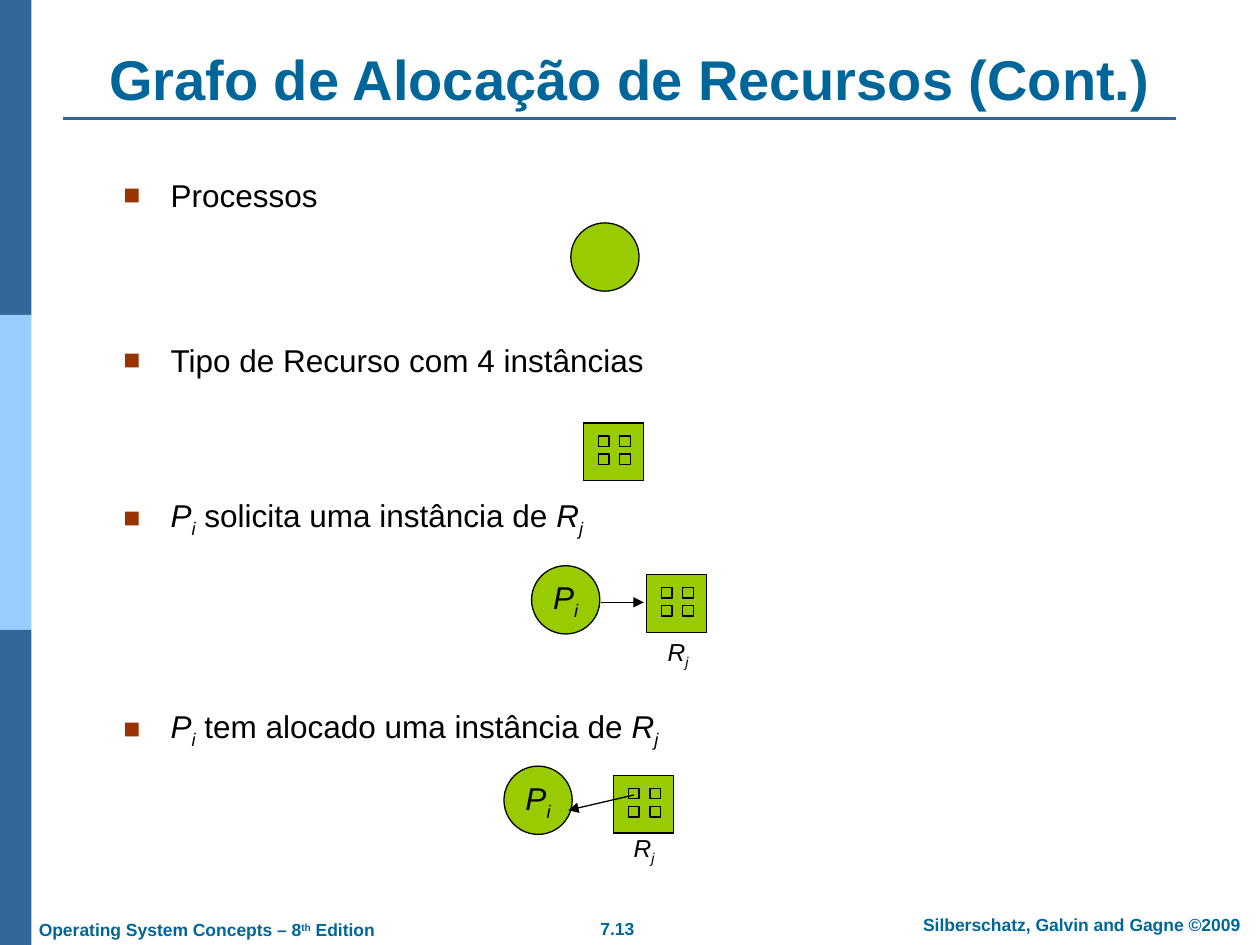
from dataclasses import dataclass

from lxml.etree import SubElement
from pptx import Presentation
from pptx.dml.color import RGBColor
from pptx.enum.shapes import MSO_CONNECTOR, MSO_SHAPE
from pptx.enum.text import MSO_ANCHOR, PP_ALIGN
from pptx.oxml.ns import qn
from pptx.util import Pt

STEEL = RGBColor(0x33, 0x66, 0x99)
SKY = RGBColor(0x99, 0xCC, 0xFF)
TEAL = RGBColor(0x00, 0x66, 0x99)
LIME = RGBColor(0x99, 0xCC, 0x00)
BLACK = RGBColor(0, 0, 0)
BULLET_COLOR = "993300"
FONT = "Arial"

CIRCLE_SIZE = 39
RESOURCE_WIDTH, RESOURCE_HEIGHT = 34.5, 33
INSTANCE_SIZE = 6
INSTANCE_LEFT, INSTANCE_TOP = 8.6, 7.4
INSTANCE_STEP_X, INSTANCE_STEP_Y = 12.2, 10.4


@dataclass(frozen=True)
class Style:
    size: float
    color: RGBColor = BLACK
    bold: bool = False


@dataclass(frozen=True)
class Piece:
    text: str
    italic: bool = False
    baseline: int = 0


@dataclass(frozen=True)
class Bullet:
    pieces: tuple
    space_before: float


@dataclass(frozen=True)
class TextBox:
    left: float
    top: float
    width: float
    height: float
    pieces: tuple
    style: Style
    align: PP_ALIGN = PP_ALIGN.CENTER
    anchor: MSO_ANCHOR = MSO_ANCHOR.TOP


BODY = Style(18)
LABEL = Style(14)
FOOTER = Style(10, TEAL, True)
PROCESS = (Piece("P", True), Piece("i", True, -25000))
RESOURCE = (Piece("R", True), Piece("j", True, -25000))

BULLETS = (
    Bullet((Piece("Processos"),), 0),
    Bullet((Piece("Tipo de Recurso com 4 instâncias"),), 72.5),
    Bullet(PROCESS + (Piece(" solicita uma instância de "),) + RESOURCE, 67.2),
    Bullet(PROCESS + (Piece(" tem alocado uma instância de "),) + RESOURCE, 96.1),
)

TEXT_BOXES = (
    TextBox(317.5, 521, 70.5, 19.4, (Piece("7.13"),), FOOTER),
    TextBox(511.2, 518.8, 213.8, 19.4,
            (Piece("Silberschatz, Galvin and Gagne ©2009"),), FOOTER),
    TextBox(15.1, 521.7, 230, 19.4,
            (Piece("Operating System Concepts – 8"), Piece("th", baseline=30000),
             Piece(" Edition")), FOOTER, PP_ALIGN.LEFT),
    TextBox(36, 22, 648, 45.4, (Piece("Grafo de Alocação de Recursos (Cont.)"),),
            Style(32, TEAL, True), anchor=MSO_ANCHOR.BOTTOM),
    TextBox(367.4, 360, 40, 26.6, RESOURCE, LABEL, anchor=MSO_ANCHOR.MIDDLE),
    TextBox(348, 472.3, 40, 26.6, RESOURCE, LABEL, anchor=MSO_ANCHOR.MIDDLE),
)


def add_runs(paragraph, pieces: tuple, style: Style) -> None:
    for piece in pieces:
        run = paragraph.add_run()
        run.text = piece.text
        font = run.font
        font.name, font.size, font.bold = FONT, Pt(style.size), style.bold
        font.italic = piece.italic
        font.color.rgb = style.color
        if piece.baseline:
            run._r.get_or_add_rPr().set("baseline", str(piece.baseline))


def add_text_box(slide, box: TextBox) -> None:
    shape = slide.shapes.add_textbox(
        Pt(box.left), Pt(box.top), Pt(box.width), Pt(box.height))
    frame = shape.text_frame
    frame.word_wrap = True
    frame.vertical_anchor = box.anchor
    paragraph = frame.paragraphs[0]
    paragraph.alignment = box.align
    add_runs(paragraph, box.pieces, box.style)


def add_bullets(slide) -> None:
    shape = slide.shapes.add_textbox(Pt(63.4), Pt(97.2), Pt(648), Pt(357))
    frame = shape.text_frame
    frame.word_wrap = True
    for index, bullet in enumerate(BULLETS):
        paragraph = frame.add_paragraph() if index else frame.paragraphs[0]
        paragraph.space_before = Pt(bullet.space_before)
        properties = paragraph._p.get_or_add_pPr()
        properties.set("marL", str(Pt(27)))
        properties.set("indent", str(Pt(-27)))
        color = SubElement(properties, qn("a:buClr"))
        SubElement(color, qn("a:srgbClr"), val=BULLET_COLOR)
        SubElement(properties, qn("a:buSzPct"), val="90000")
        SubElement(properties, qn("a:buFont"), typeface=FONT)
        SubElement(properties, qn("a:buChar"), char="■")
        add_runs(paragraph, bullet.pieces, BODY)


def add_filled(shapes, kind: MSO_SHAPE, left: float, top: float, width: float,
               height: float, fill: RGBColor = LIME, outlined: bool = True):
    shape = shapes.add_shape(kind, Pt(left), Pt(top), Pt(width), Pt(height))
    shape.shadow.inherit = False
    shape.fill.solid()
    shape.fill.fore_color.rgb = fill
    if outlined:
        shape.line.color.rgb = BLACK
        shape.line.width = Pt(0.75)
    else:
        shape.line.fill.background()
    return shape


def add_process(slide, left: float, top: float, pieces: tuple = ()) -> None:
    circle = add_filled(slide.shapes, MSO_SHAPE.OVAL, left, top, CIRCLE_SIZE, CIRCLE_SIZE)
    frame = circle.text_frame
    frame.word_wrap = False
    frame.vertical_anchor = MSO_ANCHOR.MIDDLE
    paragraph = frame.paragraphs[0]
    paragraph.alignment = PP_ALIGN.CENTER
    add_runs(paragraph, pieces, BODY)


def add_resource(slide, left: float, top: float) -> None:
    """Draw a resource type holding a 2 by 2 grid of instances."""
    shapes = slide.shapes.add_group_shape().shapes
    add_filled(shapes, MSO_SHAPE.RECTANGLE, left, top, RESOURCE_WIDTH, RESOURCE_HEIGHT)
    for row in range(2):
        for column in range(2):
            add_filled(shapes, MSO_SHAPE.RECTANGLE,
                       left + INSTANCE_LEFT + column * INSTANCE_STEP_X,
                       top + INSTANCE_TOP + row * INSTANCE_STEP_Y,
                       INSTANCE_SIZE, INSTANCE_SIZE)


def add_line(slide, start: tuple, end: tuple, color: RGBColor = BLACK,
             width: float = 0.75, arrow: bool = True) -> None:
    line = slide.shapes.add_connector(
        MSO_CONNECTOR.STRAIGHT, Pt(start[0]), Pt(start[1]), Pt(end[0]), Pt(end[1]))
    line.line.color.rgb = color
    line.line.width = Pt(width)
    if arrow:
        SubElement(line.line._get_or_add_ln(), qn("a:tailEnd"), type="triangle")
    SubElement(line._element.spPr, qn("a:effectLst"))


def main() -> None:
    presentation = Presentation()
    presentation.slide_width, presentation.slide_height = Pt(720), Pt(540)
    slide = presentation.slides.add_slide(presentation.slide_layouts[6])

    for index, color in enumerate((STEEL, SKY, STEEL)):
        add_filled(slide.shapes, MSO_SHAPE.RECTANGLE, 0, index * 180, 18, 180, color, False)
    add_line(slide, (36, 67.7), (672, 67.7), STEEL, 1.5, arrow=False)

    add_bullets(slide)
    add_process(slide, 326.2, 127.4)
    add_process(slide, 303.8, 323.3, PROCESS)
    add_process(slide, 288, 437.8, PROCESS)
    for left, top in ((333.4, 241.7), (369.4, 328.3), (350.6, 443.1)):
        add_resource(slide, left, top)
    add_line(slide, (343.4, 344.2), (367.9, 344.2))
    add_line(slide, (362.2, 454.3), (324.7, 463))
    for box in TEXT_BOXES:
        add_text_box(slide, box)

    presentation.save("out.pptx")


if __name__ == "__main__":
    main()
